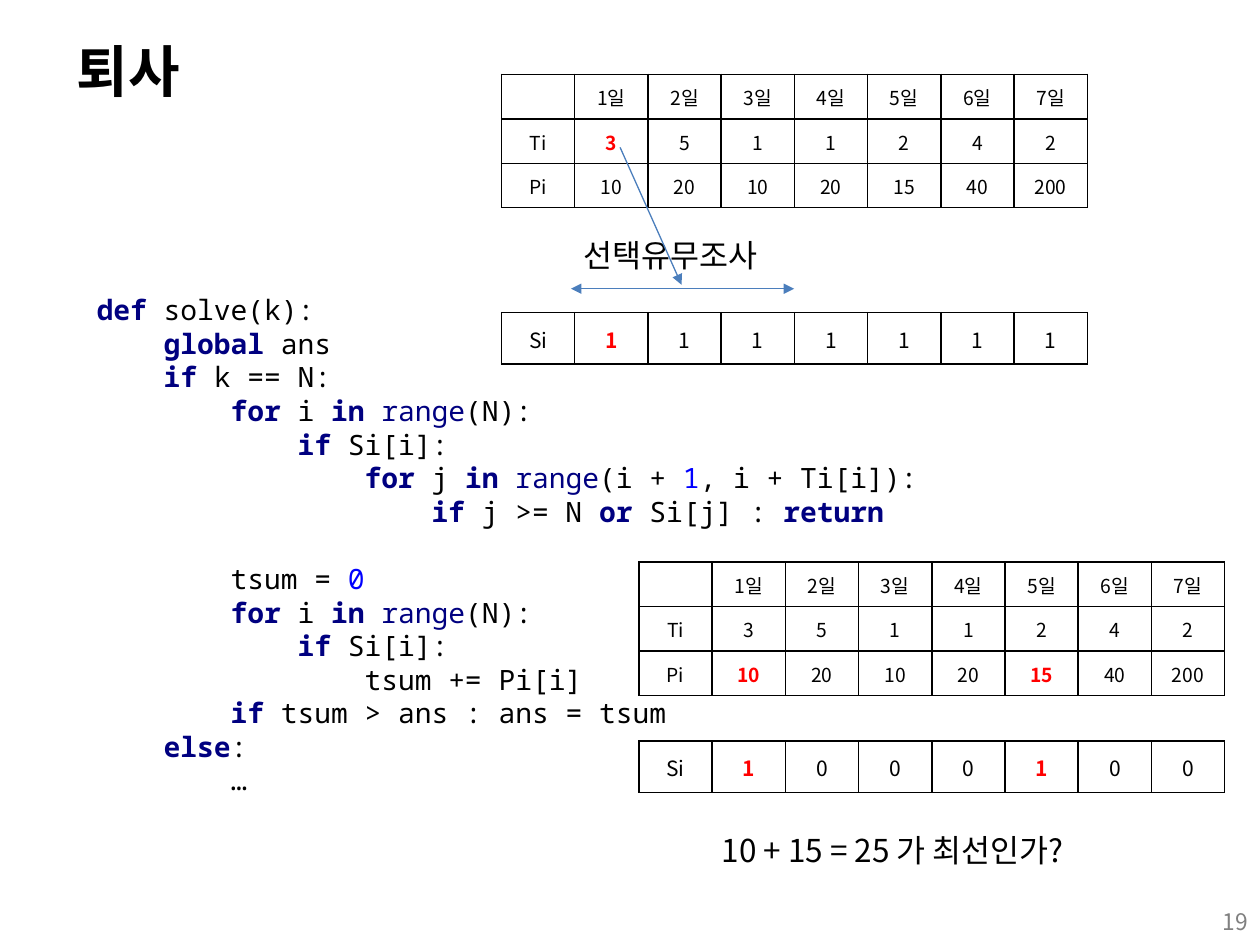
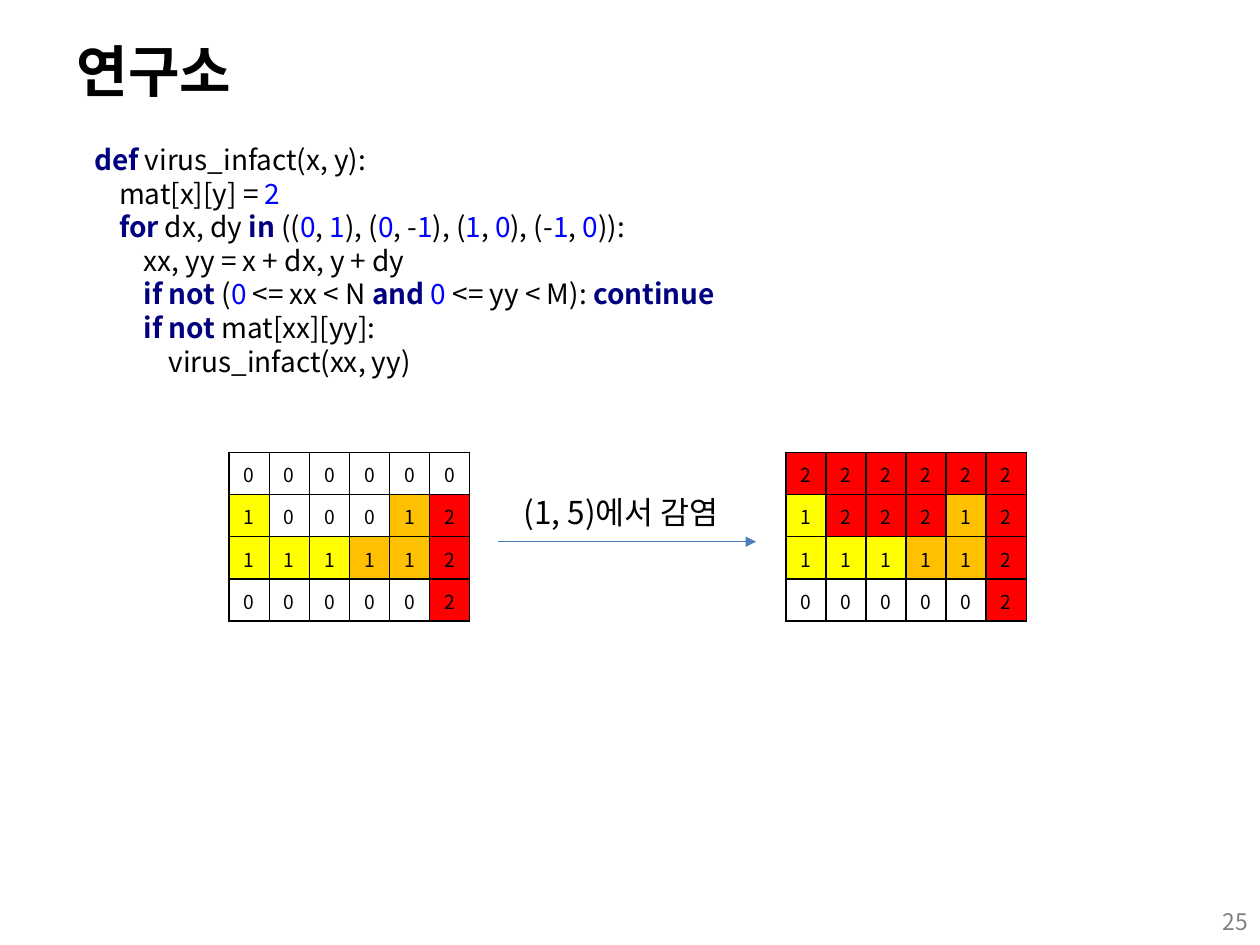
import itertools
from dataclasses import dataclass

import pptx
import pptx.dml.color
import pptx.enum.shapes
import pptx.enum.text
import pptx.oxml
import pptx.oxml.ns
import pptx.util
from lxml import etree

Cm = pptx.util.Cm
Pt = pptx.util.Pt
Align = pptx.enum.text.PP_ALIGN
Anchor = pptx.enum.text.MSO_ANCHOR
qn = pptx.oxml.ns.qn


@dataclass(frozen=True)
class Theme:
    sans: str = "Noto Sans CJK KR"
    mono: str = "Noto Sans Mono"
    ink: str = "000000"
    paper: str = "FFFFFF"
    muted: str = "808080"
    keyword: str = "000080"
    number: str = "0000FF"
    alert: str = "FF0000"
    wall: str = "FFFF00"
    new_wall: str = "FFC000"
    arrow: str = "4B7EBC"
    title_size: float = 32
    label_size: float = 18
    code_size: float = 16
    code_pitch: float = 19.2
    page_size: float = 13
    choice_size: float = 12
    cell_size: float = 11


THEME = Theme()
KEYWORDS = set("def global if for in or return else not and continue".split())


@dataclass(frozen=True)
class Box:
    left: float
    top: float
    width: float
    height: float

    def inner(self, dx, dy, width, height):
        return Box(self.left + dx, self.top + dy, width, height)

    def lengths(self):
        return [Cm(n) for n in (self.left, self.top, self.width, self.height)]


def rgb(code):
    return pptx.dml.color.RGBColor.from_string(code)


def write(paragraph, text, size=THEME.label_size, font=THEME.sans,
          color=THEME.ink, bold=False, align=Align.LEFT, spacing=None):
    paragraph.alignment = align
    if spacing:
        paragraph.line_spacing = spacing
    run = paragraph.add_run()
    run.text = text
    run.font.size = Pt(size)
    run.font.bold = bold
    run.font.color.rgb = rgb(color)
    run.font.name = font
    etree.SubElement(run.font._element, qn("a:ea"), typeface=font)


def label(slide, box, text, **style):
    frame = slide.shapes.add_textbox(*box.lengths()).text_frame
    frame.word_wrap = True
    write(frame.paragraphs[0], text, spacing=0.9, **style)


def arrow(slide, start, end, both_ends=False):
    line = slide.shapes.add_connector(
        pptx.enum.shapes.MSO_CONNECTOR.STRAIGHT, *map(Cm, start + end))
    line.line.color.rgb = rgb(THEME.arrow)
    line.line.width = Pt(0.75)
    stroke = line.line._get_or_add_ln()
    for tip in ("a:headEnd", "a:tailEnd") if both_ends else ("a:tailEnd",):
        etree.SubElement(stroke, qn(tip), type="triangle")
    etree.SubElement(line._element.spPr, qn("a:effectLst"))


def outline(cell):
    props = cell._tc.get_or_add_tcPr()
    for position, side in enumerate(("lnL", "lnR", "lnT", "lnB")):
        border = pptx.oxml.parse_xml(
            f'<a:{side} xmlns:a="http://schemas.openxmlformats.org/drawingml/2006/main" '
            f'w="12700"><a:solidFill><a:srgbClr val="{THEME.ink}"/></a:solidFill></a:{side}>')
        props.insert(position, border)


def grid(slide, box, rows, size=THEME.cell_size, highlights=(), fills=None):
    table = slide.shapes.add_table(len(rows), len(rows[0]), *box.lengths()).table
    table.first_row = table.horz_banding = False
    for column in table.columns:
        column.width = Cm(box.width / len(rows[0]))
    for r, row in enumerate(rows):
        table.rows[r].height = Cm(box.height / len(rows))
        for c, value in enumerate(row):
            cell = table.cell(r, c)
            cell.vertical_anchor = Anchor.MIDDLE
            cell.margin_left = cell.margin_right = cell.margin_top = Cm(0.03)
            cell.margin_bottom = 0
            fill = (fills or {}).get((r, c))
            if fill:
                cell.fill.solid()
                cell.fill.fore_color.rgb = rgb(fill)
            else:
                cell.fill.background()
            outline(cell)
            marked = (r, c) in highlights
            if value:
                write(cell.text_frame.paragraphs[0], value, size=size, bold=marked,
                      color=THEME.alert if marked else THEME.ink, align=Align.CENTER)


def token_style(token):
    if token in KEYWORDS:
        return {"color": THEME.keyword, "bold": True}
    if token == "range":
        return {"color": THEME.keyword}
    return {"color": THEME.number} if token.isdigit() else {}


def code_block(slide, box, source, font, indent):
    panel = slide.shapes.add_shape(
        pptx.enum.shapes.MSO_SHAPE.RECTANGLE, *box.lengths())
    panel.shadow.inherit = False
    panel.fill.solid()
    panel.fill.fore_color.rgb = rgb(THEME.paper)
    panel.line.fill.background()
    frame = panel.text_frame
    frame.word_wrap = True
    frame.vertical_anchor = Anchor.MIDDLE
    after_gap = False
    for number, line in enumerate(source.strip().split("\n")):
        code = line.lstrip()
        if not code:
            after_gap = True
            continue
        paragraph = frame.add_paragraph() if number else frame.paragraphs[0]
        depth = (len(line) - len(code)) // 4
        props = paragraph._p.get_or_add_pPr()
        props.set("marL", str(Cm(depth * indent)))
        props.set("indent", "0")
        if after_gap:
            paragraph.space_before = Pt(THEME.code_pitch)
            after_gap = False
        for _, letters in itertools.groupby(code, lambda ch: ch.isalnum() or ch == "_"):
            token = "".join(letters)
            write(paragraph, token, size=THEME.code_size, font=font,
                  spacing=Pt(THEME.code_pitch), **token_style(token))


def schedule(slide, box, choices, day_marks, choice_marks):
    days = [[""] + [f"{day}일" for day in range(1, 8)],
            "Ti 3 5 1 1 2 4 2".split(),
            "Pi 10 20 10 20 15 40 200".split()]
    choice_height = 1.04
    grid(slide, box.inner(0, 0, box.width, 2.69), days, highlights=day_marks)
    grid(slide, box.inner(0, box.height - choice_height, box.width, choice_height),
         [["Si"] + list(choices)], size=THEME.choice_size, highlights=choice_marks)


def overlap_check(slide, box):
    schedule(slide, box, "1111111", {(1, 1)}, {(0, 1)})
    left, top = box.left + 1.4, box.top + 4.32
    arrow(slide, (left, top), (left + 4.5, top), both_ends=True)
    label(slide, box.inner(1.4, 3.22, 4.5, 1.02), "선택유무조사")
    arrow(slide, (box.left + 2.39, box.top + 1.47), (box.left + 3.63, box.top + 4.24))


def lab_map(slide, box, rows):
    new_walls = {(1, 4), (2, 3), (2, 4)}
    shades = {"1": THEME.wall, "2": THEME.alert}
    fills = {(r, c): THEME.new_wall if (r, c) in new_walls else shades.get(value)
             for r, row in enumerate(rows) for c, value in enumerate(row)}
    grid(slide, box, rows, fills=fills)


def infection(slide, box):
    map_width = 4.85
    lab_map(slide, box.inner(0, 0, map_width, box.height),
            ["000000", "100012", "111112", "000002"])
    lab_map(slide, box.inner(box.width - map_width, 0, map_width, box.height),
            ["222222", "122212", "111112", "000002"])
    label(slide, box.inner(5.69, 0.79, 4.93, 1.02), "(1, 5)에서 감염")
    level = box.top + 1.8
    arrow(slide, (box.left + 5.41, level), (box.left + 10.62, level))


def new_slide(deck, title, page):
    slide = deck.slides.add_slide(deck.slide_layouts[6])
    label(slide, Box(19.48, 18.24, 5.92, 1.02), page, size=THEME.page_size,
          color=THEME.muted, align=Align.RIGHT)
    label(slide, Box(1.3, 0.76, 24.1, 2.21), title, size=THEME.title_size, bold=True)
    return slide


SOLVE = """
def solve(k):
    global ans
    if k == N:
        for i in range(N):
            if Si[i]:
                for j in range(i + 1, i + Ti[i]):
                    if j >= N or Si[j] : return

        tsum = 0
        for i in range(N):
            if Si[i]:
                tsum += Pi[i]
        if tsum > ans : ans = tsum
    else:
        …
"""

INFECT = """
def virus_infact(x, y):
    mat[x][y] = 2
    for dx, dy in ((0, 1), (0, -1), (1, 0), (-1, 0)):
        xx, yy = x + dx, y + dy
        if not (0 <= xx < N and 0 <= yy < M): continue
        if not mat[xx][yy]:
            virus_infact(xx, yy)
"""


def resignation_slide(deck):
    slide = new_slide(deck, "퇴사", "19")
    code_block(slide, Box(1.7, 5.72, 21.49, 10.52), SOLVE, THEME.mono, 1.35)
    schedule(slide, Box(12.88, 11.33, 11.81, 4.65), "1000100",
             {(2, 1), (2, 5)}, {(0, 1), (0, 5)})
    label(slide, Box(14.3, 16.71, 8.89, 1.02), "10 + 15 = 25 가 최선인가?")
    overlap_check(slide, Box(10.11, 1.5, 11.81, 5.84))


def laboratory_slide(deck):
    slide = new_slide(deck, "연구소", "25")
    code_block(slide, Box(1.65, 2.72, 16.61, 5.05), INFECT, THEME.sans, 0.5)
    infection(slide, Box(4.62, 9.12, 16.07, 3.4))


deck = pptx.Presentation()
deck.slide_width, deck.slide_height = Cm(25.4), Cm(19.05)
resignation_slide(deck)
laboratory_slide(deck)
deck.save("out.pptx")
